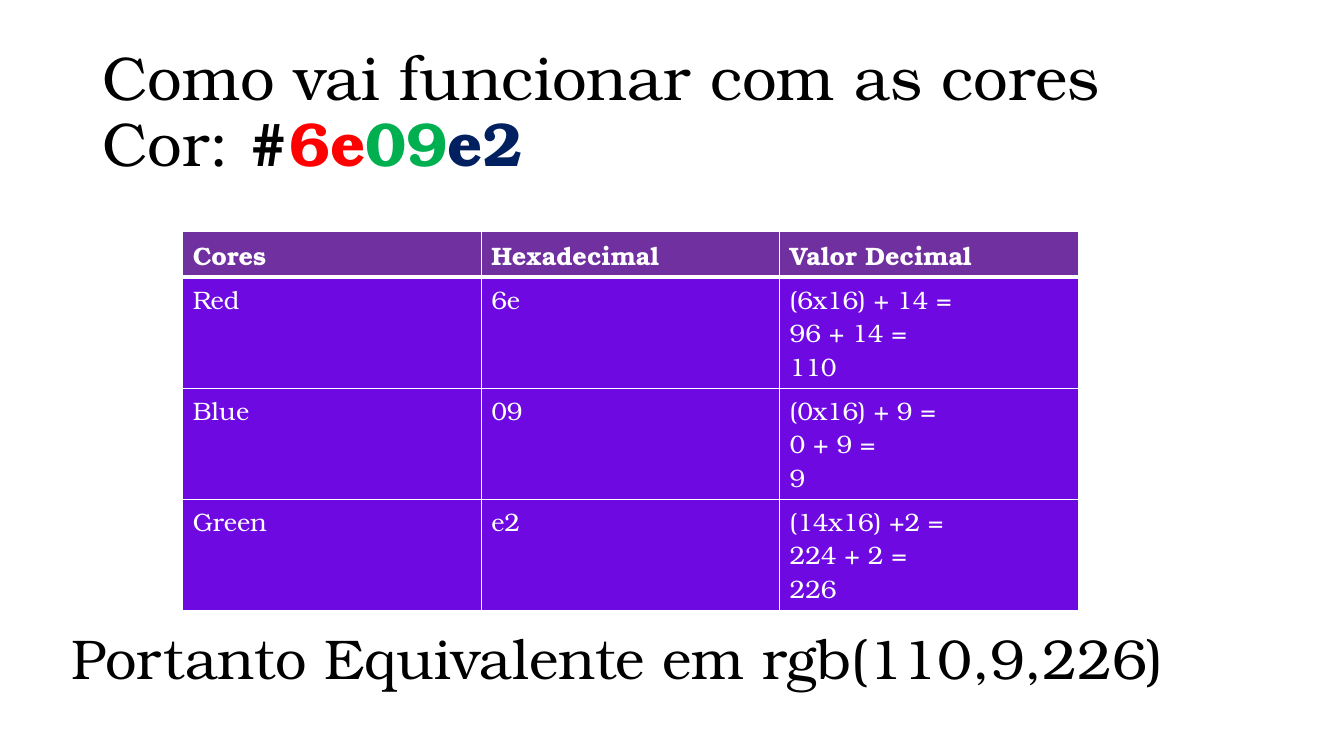
from lxml import etree
from pptx import Presentation
from pptx.dml.color import RGBColor
from pptx.enum.text import MSO_ANCHOR
from pptx.oxml.ns import qn
from pptx.util import Pt

MIDDLE, TOP = MSO_ANCHOR.MIDDLE, MSO_ANCHOR.TOP
FONT = "TeX Gyre Bonum"
COLORS = {
    "black": "000000", "white": "FFFFFF", "red": "FF0000", "green": "00B050",
    "navy": "002060", "head": "7030A0", "body": "6E09E2",
}
ROWS = [
    ("Cores", "Hexadecimal", "Valor Decimal"),
    ("Red", "6e", "(6x16) + 14 = \n96 + 14 = \n110"),
    ("Blue", "09", "(0x16) + 9 = \n0 + 9 =\n9"),
    ("Green", "e2", "(14x16) +2 = \n224 + 2 = \n226"),
]


def color(name):
    return RGBColor.from_string(COLORS[name])


def style(font, size, name, bold=False):
    font.name, font.size, font.bold = FONT, Pt(size), bold
    font.color.rgb = color(name)


def add_text(slide, box, parts, size, anchor=TOP, spacing=1.0):
    """Add one paragraph made of (text, colour, bold) parts."""
    frame = slide.shapes.add_textbox(*map(Pt, box)).text_frame
    frame.word_wrap = True
    frame.vertical_anchor = anchor
    para = frame.paragraphs[0]
    para.line_spacing = spacing
    for text, name, bold in parts:
        # A line feed inside a part becomes a line break
        for i, line in enumerate(text.split("\n")):
            if i:
                para.add_line_break()
            run = para.add_run()
            run.text = line
            style(run.font, size, name, bold)


def add_border(cell, side, width):
    props = cell._tc.get_or_add_tcPr()
    line = etree.SubElement(props, qn("a:ln" + side), w=str(Pt(width)))
    fill = etree.SubElement(line, qn("a:solidFill"))
    etree.SubElement(fill, qn("a:srgbClr"), val=COLORS["white"])


def fill_cell(cell, text, head):
    cell.text = text
    for para in cell.text_frame.paragraphs:
        style(para.font, 18, "white", head)
    # Borders go before the fill; the line under the header is thick
    for side in "LRTB":
        under = side == "B" if head else False
        add_border(cell, side, 3 if under else 1)
    cell.fill.solid()
    cell.fill.fore_color.rgb = color("head" if head else "body")


def add_grid(slide, left, top, width, heights):
    count = len(ROWS[0])
    table = slide.shapes.add_table(
        len(ROWS), count, Pt(left), Pt(top), Pt(width), Pt(sum(heights))).table
    for col in table.columns:
        col.width = Pt(width / count)
    for r, (texts, height) in enumerate(zip(ROWS, heights)):
        table.rows[r].height = Pt(height)
        for c, text in enumerate(texts):
            fill_cell(table.cell(r, c), text, r == 0)
    # The header's lower edge is also the first body row's upper edge
    for c in range(count):
        edge = table.cell(1, c)._tc.tcPr.find(qn("a:lnT"))
        edge.set("w", str(Pt(3)))


def main():
    prs = Presentation()
    prs.slide_width, prs.slide_height = Pt(960), Pt(540)
    slide = prs.slides.add_slide(prs.slide_layouts[6])

    # Title with the colour code split by channel
    add_text(slide, (66, 28.8, 828, 104.4), [
        ("Como vai funcionar com as cores\nCor: ", "black", False),
        ("#", "black", True),
        ("6e", "red", True),
        ("09", "green", True),
        ("e2", "navy", True),
    ], 44, MIDDLE, 0.9)

    # Conversion table
    add_grid(slide, 130.5, 165, 639.6, [33] + [79.3] * 3)

    # Result
    add_text(slide, (44, 442, 893, 55.5),
             [("Portanto Equivalente em rgb(110,9,226)", "black", False)], 40)

    prs.save("out.pptx")


main()
